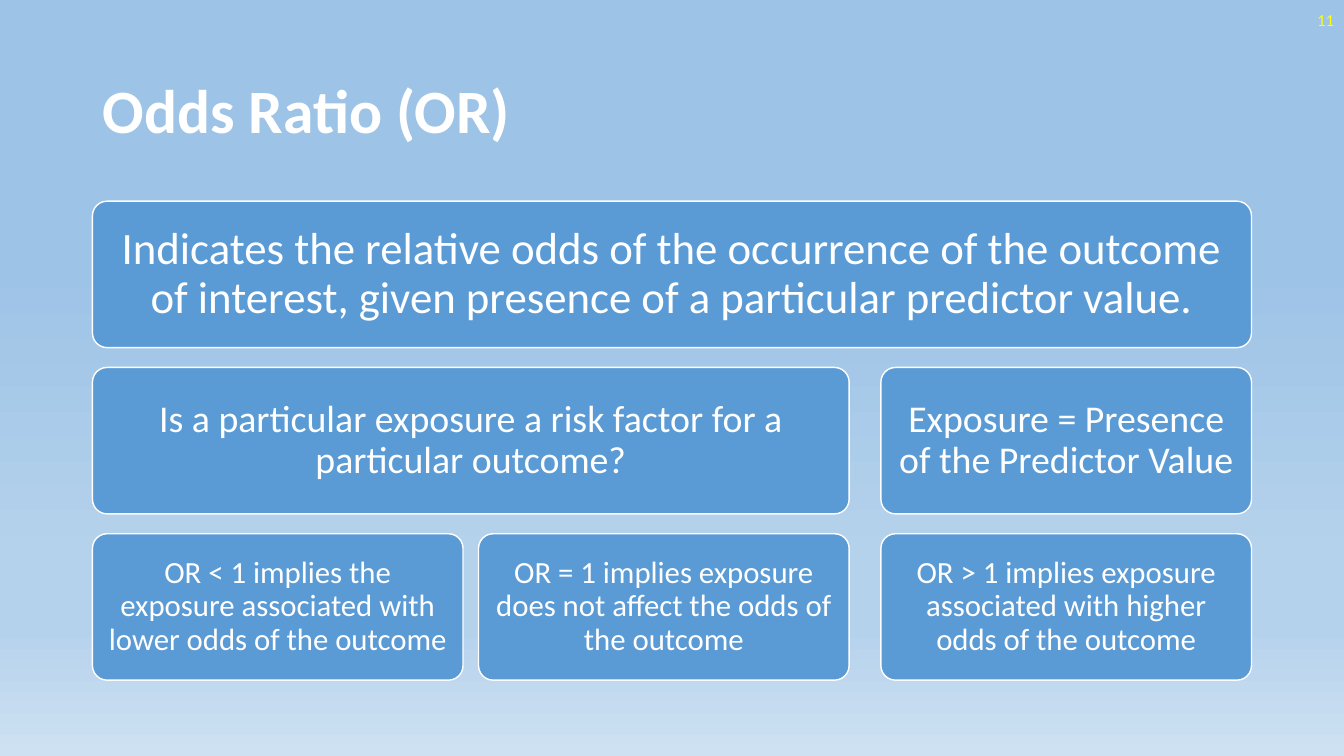
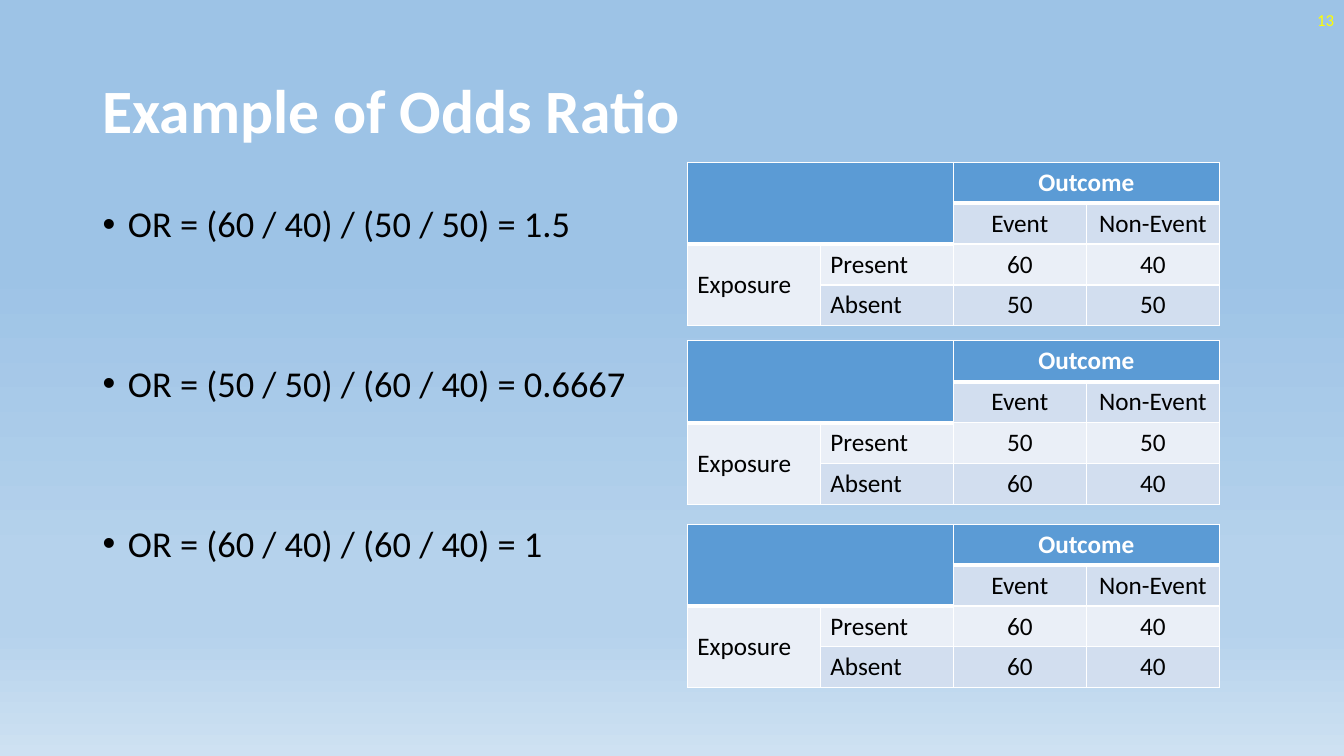
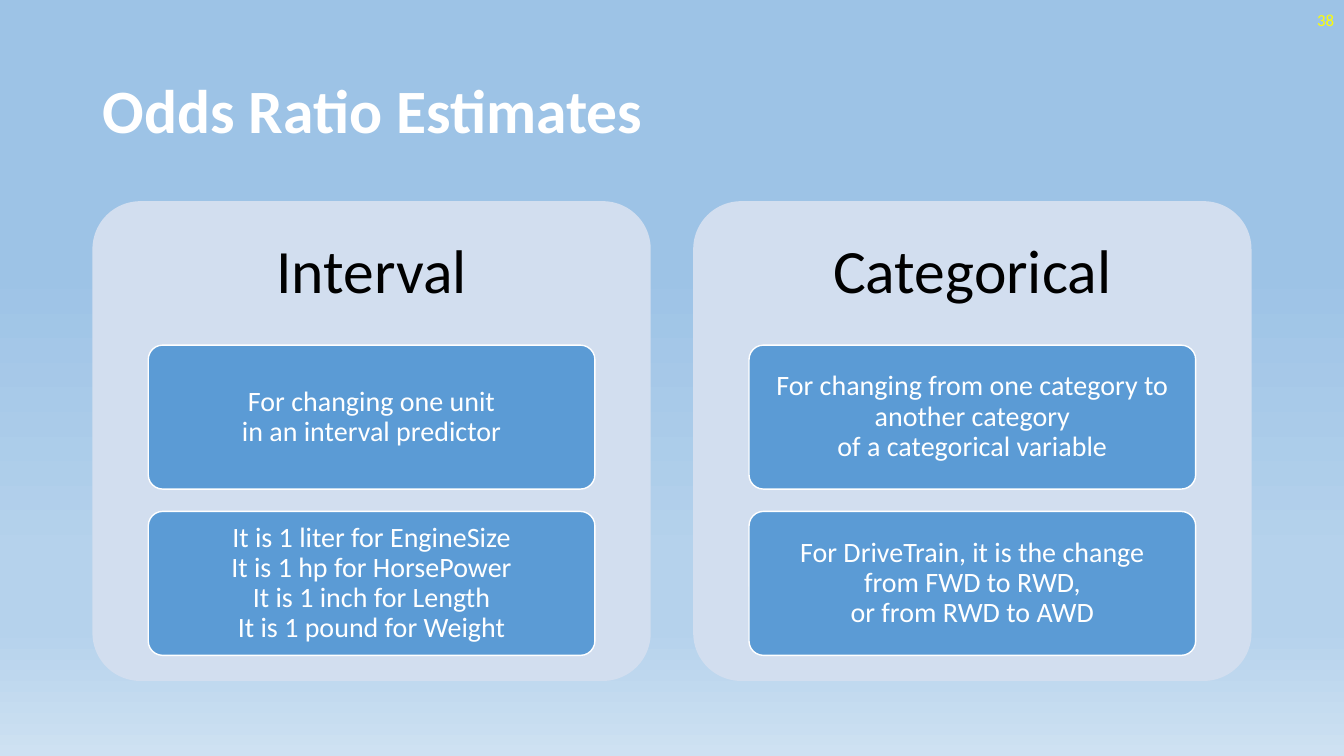
from lxml import etree
from pptx import Presentation
from pptx import util as u
from pptx.dml.color import RGBColor
from pptx.enum import shapes, text
from pptx.oxml.ns import qn

FONT = "Calibri"
WHITE, BLACK, YELLOW = "FFFFFF", "000000", "FFFF00"
BLUE, PALE, PALER = "5B9BD5", "D2DEEF", "EAEFF7"
BACKGROUND = [(35, "9DC3E6"), (74, "B5D2EC"), (83, "B5D2EC"), (100, "CEE1F2")]

LEFT, TOP, WIDTH, HEIGHT = 2.33, 5.07, 29.21, 12.09
TITLE_AREA = (LEFT, 1.01, WIDTH, 3.68)
NUMBER_AREA = (26.25, 0, 7.62, 1.02)
PITCH = 4.19

TIERS = [
    (32, 0.33, [(0, 2, "Indicates the relative odds of the occurrence of the outcome of interest, "
                       "given presence of a particular predictor value.")]),
    (27, 0.28, [(0, 1, "Is a particular exposure a risk factor for a particular outcome?"),
                (2, 2, "Exposure = Presence of the Predictor Value")]),
    (22, 0.23, [(0, 0, "OR < 1 implies the exposure associated with lower odds of the outcome"),
                (1, 1, "OR = 1 implies exposure does not affect the odds of the outcome"),
                (2, 2, "OR > 1 implies exposure associated with higher odds of the outcome")]),
]

EXAMPLES = [
    ("OR = (60 / 40) / (50 / 50) = 1.5", 4.09, [(60, 40), (50, 50)]),
    ("OR = (50 / 50) / (60 / 40) = 0.6667", 8.59, [(50, 50), (60, 40)]),
    ("OR = (60 / 40) / (60 / 40) = 1", 13.21, [(60, 40), (60, 40)]),
]

PANELS = [
    ("Interval", [
        ["For changing one unit\vin an interval predictor"],
        ["It is 1 liter for EngineSize", "It is 1 hp for HorsePower",
         "It is 1 inch for Length", "It is 1 pound for Weight"]]),
    ("Categorical", [
        ["For changing from one category to another category\vof a categorical variable"],
        ["For DriveTrain, it is the change\vfrom FWD to RWD,\vor from RWD to AWD"]]),
]


def colour(code):
    return RGBColor.from_string(code)


def apply(target, values):
    for name, value in values.items():
        setattr(target, name, value)


def area(left, top, width, height):
    return [u.Cm(value) for value in (left, top, width, height)]


def place(shape, box):
    apply(shape, dict(zip(("left", "top", "width", "height"), area(*box))))


def write(frame, lines, size, tint, bold=False, frame_format=None, **para_format):
    frame.text = "\n".join(lines)
    apply(frame, {"word_wrap": True, "auto_size": text.MSO_AUTO_SIZE.NONE,
                  "vertical_anchor": text.MSO_ANCHOR.MIDDLE, **(frame_format or {})})
    for para in frame.paragraphs:
        apply(para, para_format)
        for span in para.runs:
            apply(span.font, {"name": FONT, "size": u.Pt(size), "bold": bold})
            span.font.color.rgb = colour(tint)


def paint_background(master):
    fill = master.background.fill
    fill.gradient()
    fill.gradient_angle = 270
    stops = master.element.find(".//" + qn("a:gsLst"))
    for stop in list(stops):
        stops.remove(stop)
    for position, code in BACKGROUND:
        stop = etree.SubElement(stops, qn("a:gs"), pos=str(position * 1000))
        etree.SubElement(stop, qn("a:srgbClr"), val=code)


def add_page(deck, layout, title, number):
    page = deck.slides.add_slide(deck.slide_layouts.get_by_name(layout))
    place(page.shapes.title, TITLE_AREA)
    write(page.shapes.title.text_frame, [title], 44, WHITE, True,
          alignment=text.PP_ALIGN.LEFT, line_spacing=0.9)
    label = page.shapes.add_textbox(*area(*NUMBER_AREA))
    write(label.text_frame, [str(number)], 12, YELLOW, alignment=text.PP_ALIGN.RIGHT)
    return page


def add_card(page, box, lines, size, inset_x, inset_y, fill=BLUE, tint=WHITE,
             outlined=True, anchor=text.MSO_ANCHOR.MIDDLE):
    card = page.shapes.add_shape(shapes.MSO_SHAPE.ROUNDED_RECTANGLE, *area(*box))
    card.adjustments[0] = 0.1
    card.shadow.inherit = False
    card.fill.solid()
    card.fill.fore_color.rgb = colour(fill)
    if outlined:
        card.line.color.rgb = colour(WHITE)
        card.line.width = u.Pt(1)
    else:
        card.line.fill.background()
    across, down = u.Cm(inset_x), u.Cm(inset_y)
    write(card.text_frame, lines, size, tint,
          frame_format={"margin_left": across, "margin_right": across, "margin_top": down,
                        "margin_bottom": down, "vertical_anchor": anchor},
          alignment=text.PP_ALIGN.CENTER, line_spacing=0.9)


def add_borders(cell, thick_sides):
    properties = cell._tc.get_or_add_tcPr()
    for side in "LRTB":
        width = u.Pt(3 if side in thick_sides else 1)
        line = etree.SubElement(properties, qn("a:ln" + side), w=str(int(width)))
        fill = etree.SubElement(line, qn("a:solidFill"))
        etree.SubElement(fill, qn("a:srgbClr"), val=WHITE)


def add_counts(page, top, counts):
    rows = [["", "", "Outcome", ""],
            ["", "", "Event", "Non-Event"],
            ["Exposure", "Present", *counts[0]],
            ["", "Absent", *counts[1]]]
    grid = page.shapes.add_table(4, 4, *area(17.32, top, 13.41, 4.12)).table
    apply(grid, {"first_row": False, "horz_banding": False})
    for first, last in (((0, 0), (1, 1)), ((0, 2), (0, 3)), ((2, 0), (3, 0))):
        grid.cell(*first).merge(grid.cell(*last))
    for row, values in enumerate(rows):
        for column, value in enumerate(values):
            cell = grid.cell(row, column)
            seam = 1 if column < 2 else 0
            header = row <= seam
            add_borders(cell, "B" if header else "T" if row == seam + 1 else "")
            cell.fill.solid()
            striped = PALER if row == 2 or (row, column) == (3, 0) else PALE
            cell.fill.fore_color.rgb = colour(BLUE if header else striped)
            if value == "":
                continue
            align = text.PP_ALIGN.LEFT if column < 2 else text.PP_ALIGN.CENTER
            write(cell.text_frame, [str(value)], 18, WHITE if header else BLACK, header,
                  alignment=align)
            cell.vertical_anchor = text.MSO_ANCHOR.MIDDLE if column == 0 else text.MSO_ANCHOR.TOP


def build_definition(deck):
    page = add_page(deck, "Title Only", "Odds Ratio (OR)", 11)
    width = 9.34
    lefts = [LEFT, LEFT + width + 0.39, LEFT + WIDTH - width]
    for tier, (size, inset, cards) in enumerate(TIERS):
        for first, last, words in cards:
            box = (lefts[first], TOP + tier * PITCH, lefts[last] + width - lefts[first], 3.69)
            add_card(page, box, [words], size, inset, inset)


def build_examples(deck):
    page = add_page(deck, "Title and Content", "Example of Odds Ratio", 13)
    body = page.placeholders[1]
    place(body, (LEFT, TOP, 14.2, HEIGHT))
    write(body.text_frame, [formula for formula, _, _ in EXAMPLES], 26, BLACK,
          frame_format={"vertical_anchor": text.MSO_ANCHOR.TOP},
          line_spacing=0.9, space_before=u.Pt(86))
    body.text_frame.paragraphs[0].space_before = u.Pt(10)
    indent = int(u.Cm(0.64))
    for para in body.text_frame.paragraphs:
        properties = para._p.get_or_add_pPr()
        properties.set("marL", str(indent))
        properties.set("indent", str(-indent))
    for _, top, counts in EXAMPLES:
        add_counts(page, top, counts)


def build_estimates(deck):
    page = add_page(deck, "Title Only", "Odds Ratio Estimates", 38)
    width = 14.07
    for index, (heading, cards) in enumerate(PANELS):
        left = LEFT + index * (WIDTH - width)
        add_card(page, (left, TOP, width, HEIGHT), [heading], 44, 0.46, 0.62,
                 PALE, BLACK, False, text.MSO_ANCHOR.TOP)
        for row, lines in enumerate(cards):
            box = (left + 0.1 * width, TOP + 0.3 * HEIGHT + row * PITCH,
                   0.8 * width, 0.3 * HEIGHT)
            add_card(page, box, lines, 20, 0.15, 0.1)


def main():
    deck = Presentation()
    apply(deck, {"slide_width": u.Cm(33.87), "slide_height": u.Cm(19.05)})
    paint_background(deck.slide_master)
    build_definition(deck)
    build_examples(deck)
    build_estimates(deck)
    deck.save("out.pptx")


if __name__ == "__main__":
    main()
